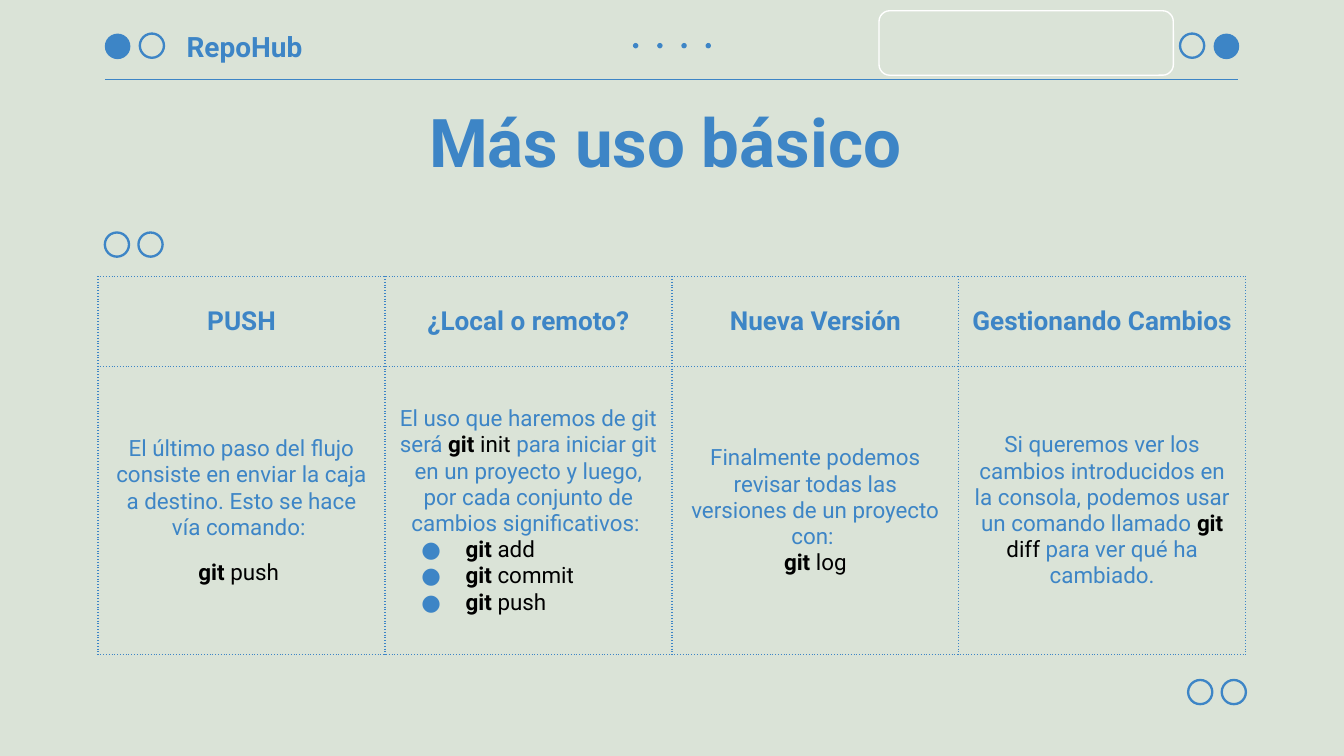
from lxml.etree import SubElement
from pptx import Presentation
from pptx.dml.color import RGBColor
from pptx.enum.shapes import MSO_CONNECTOR, MSO_SHAPE
from pptx.enum.text import MSO_ANCHOR, MSO_AUTO_SIZE, PP_ALIGN
from pptx.oxml import parse_xml
from pptx.oxml.ns import nsdecls, qn
from pptx.util import Inches, Pt

BLUE, BLACK, WHITE, SAGE = "3D85C6", "000000", "FFFFFF", "DAE3D7"
MARGINS = {f"margin_{side}": Inches(0.1) for side in ("left", "right", "top", "bottom")}


def color(hex_code):
    return RGBColor.from_string(hex_code)


def add_run(paragraph, text, size, hex_code, bold):
    run = paragraph.add_run()
    run.text = text
    run.font.color.rgb = color(hex_code)
    for name, value in {"name": "Roboto", "size": Pt(size), "bold": bold}.items():
        setattr(run.font, name, value)


presentation = Presentation()
presentation.slide_width = Inches(10)
presentation.slide_height = Inches(10 * 9 / 16)
slide = presentation.slides.add_slide(presentation.slide_layouts[5])
slide.background.fill.solid()
slide.background.fill.fore_color.rgb = color(SAGE)

# Header rule
rule = slide.shapes.add_connector(
    MSO_CONNECTOR.STRAIGHT, Inches(0.78), Inches(0.59), Inches(9.21), Inches(0.59))
rule.line.color.rgb = color(BLUE)
rule.line.width = Pt(0.75)
SubElement(rule._element.spPr, qn("a:effectLst"))

# Circles: left, top, diameter, filled
circles = [(0.78, 0.25, 0.19, True), (9.03, 0.25, 0.19, True)]
circles += [(4.71 + 0.18 * i, 0.32, 0.04, True) for i in range(4)]
circles += [(left, top, 0.18, False) for left, top in
            [(1.04, 0.25), (8.78, 0.25), (0.78, 1.73), (1.03, 1.73), (8.84, 5.06), (9.09, 5.06)]]
for left, top, diameter, filled in circles:
    circle = slide.shapes.add_shape(
        MSO_SHAPE.OVAL, Inches(left), Inches(top), Inches(diameter), Inches(diameter))
    circle.shadow.inherit = False
    if filled:
        circle.fill.solid()
        circle.fill.fore_color.rgb = color(BLUE)
        circle.line.fill.background()
    else:
        circle.fill.background()
        circle.line.color.rgb = color(BLUE)
        circle.line.width = Pt(1.25)

# Section name and title
section = slide.shapes.add_textbox(Inches(1.29), Inches(0.16), Inches(1.08), Inches(0.37))
title = slide.shapes.title
title.left, title.top, title.width, title.height = (
    Inches(0.68), Inches(0.65), Inches(8.54), Inches(0.71))
for shape, text, size, anchor, alignment in [
    (section, "RepoHub", 15, MSO_ANCHOR.MIDDLE, PP_ALIGN.LEFT),
    (title, "Más uso básico", 36, MSO_ANCHOR.TOP, PP_ALIGN.CENTER),
]:
    frame_format = {"word_wrap": True, "auto_size": MSO_AUTO_SIZE.NONE, "vertical_anchor": anchor}
    for name, value in (MARGINS | frame_format).items():
        setattr(shape.text_frame, name, value)
    paragraph = shape.text_frame.paragraphs[0]
    paragraph.alignment = alignment
    add_run(paragraph, text, size, BLUE, True)

# Each column: heading, then paragraphs of (prose, git argument, prose after) with a style
columns = [
    ("PUSH", [
        ("El último paso del flujo consiste en enviar la caja a destino. "
         "Esto se hace vía comando: ", "", "", "plain"),
        ("", "push ", "", "spaced")]),
    ("¿Local o remoto?", [
        ("El uso que haremos de git será ", "init",
         " para iniciar git en un proyecto y luego, por cada conjunto de "
         "cambios significativos: ", "plain"),
        ("", "add", "", "bullet"),
        ("", "commit", "", "bullet"),
        ("", "push", "", "bullet")]),
    ("Nueva Versión", [
        ("Finalmente podemos revisar todas las versiones de un proyecto con: ", "", "", "plain"),
        ("", "log", "", "plain")]),
    ("Gestionando Cambios", [
        ("Si queremos ver los cambios introducidos en la consola, podemos usar "
         "un comando llamado ", "diff", " para ver qué ha cambiado.", "plain")]),
]

table_width = Inches(8.54)
graphic = slide.shapes.add_table(
    2, len(columns), Inches(0.73), Inches(2.06), table_width, Inches(2.81))
table = graphic.table
table.first_row = table.horz_banding = False
for row, height in zip(table.rows, (0.67, 2.14)):
    row.height = Inches(height)

for index, (heading, body) in enumerate(columns):
    table.columns[index].width = table_width // len(columns)
    heading_paragraph = table.cell(0, index).text_frame.paragraphs[0]
    heading_paragraph.alignment = PP_ALIGN.CENTER
    add_run(heading_paragraph, heading, 14, BLUE, True)

    frame = table.cell(1, index).text_frame
    for number, (before, argument, after, style) in enumerate(body):
        paragraph = frame.add_paragraph() if number else frame.paragraphs[0]
        paragraph.alignment = PP_ALIGN.LEFT if style == "bullet" else PP_ALIGN.CENTER
        if style == "spaced":
            paragraph.space_before = Pt(10)
        if style == "bullet":
            properties = paragraph._p.get_or_add_pPr()
            properties.set("marL", str(Inches(0.5)))
            properties.set("indent", str(Inches(-0.33)))
            SubElement(SubElement(properties, qn("a:buClr")), qn("a:srgbClr"), val=BLUE)
            SubElement(properties, qn("a:buFont"), typeface="Roboto")
            SubElement(properties, qn("a:buChar"), char="●")
        for text, hex_code, bold in [
            (before, BLUE, False),
            ("git " if argument else "", BLACK, True),
            (argument, BLACK, False),
            (after, BLUE, False),
        ]:
            if text:
                add_run(paragraph, text, 12, hex_code, bold)

for cell in table.iter_cells():
    for name, value in (MARGINS | {"vertical_anchor": MSO_ANCHOR.MIDDLE}).items():
        setattr(cell, name, value)
    cell.fill.background()
    for position, side in enumerate("LRTB"):
        border = parse_xml(
            f'<a:ln{side} {nsdecls("a")} w="{Pt(0.75)}"><a:solidFill><a:srgbClr val="{BLUE}"/>'
            f'</a:solidFill><a:prstDash val="dot"/></a:ln{side}>')
        cell._tc.get_or_add_tcPr().insert(position, border)

# Empty panel in the header
panel = slide.shapes.add_shape(
    MSO_SHAPE.ROUNDED_RECTANGLE, Inches(6.54), Inches(0.08), Inches(2.19), Inches(0.48))
panel.shadow.inherit = False
panel.fill.solid()
panel.fill.fore_color.rgb = color(SAGE)
panel.line.color.rgb = color(WHITE)
panel.line.width = Pt(0.75)

presentation.save("out.pptx")
